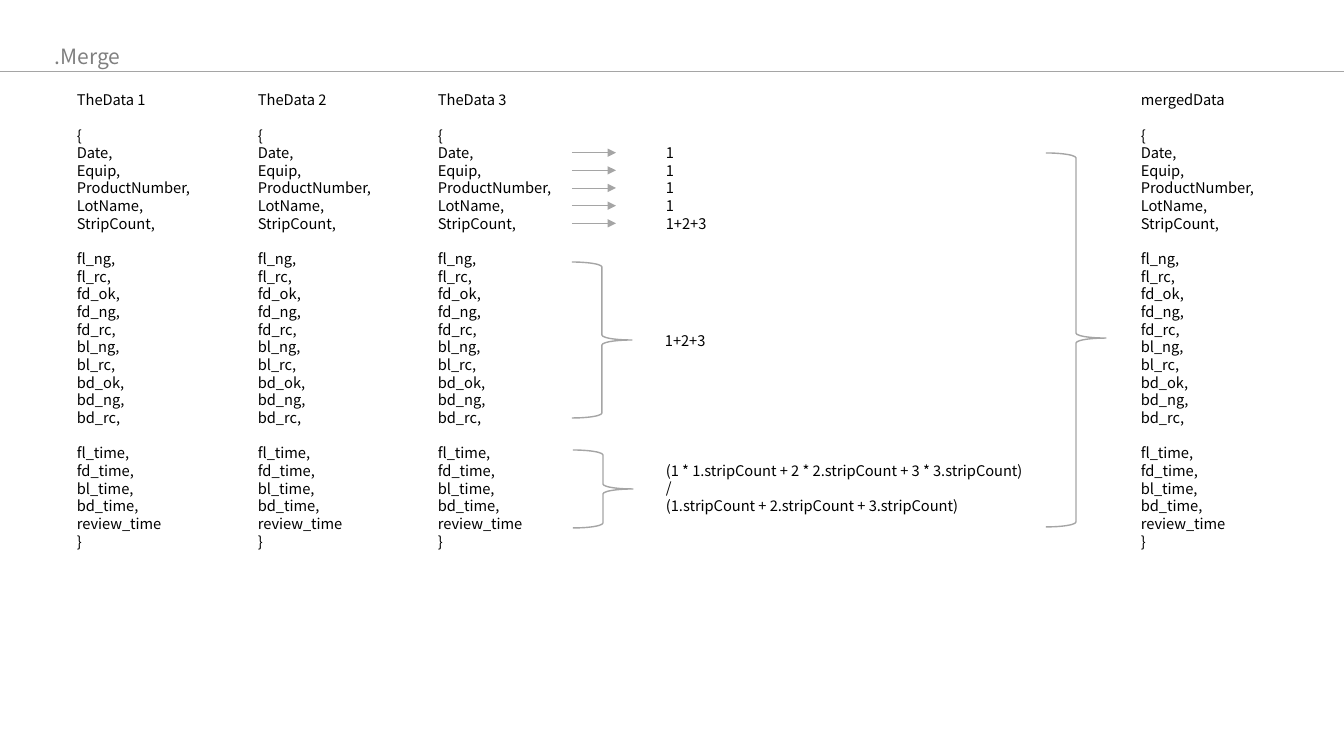
from lxml.etree import SubElement
from pptx import Presentation
from pptx.dml.color import RGBColor
from pptx.enum.shapes import MSO_CONNECTOR, MSO_SHAPE
from pptx.oxml.ns import qn
from pptx.util import Emu, Pt

# Content
TITLE = ".Merge"
FIELD_GROUPS = [
    ["{", "Date,", "Equip,", "ProductNumber,", "LotName,", "StripCount,"],
    ["fl_ng,", "fl_rc,", "fd_ok,", "fd_ng,", "fd_rc,",
     "bl_ng,", "bl_rc,", "bd_ok,", "bd_ng,", "bd_rc,"],
    ["fl_time,", "fd_time,", "bl_time,", "bd_time,", "review_time", "}"],
]
COLUMNS = [("TheData 1", 67), ("TheData 2", 248), ("TheData 3", 428), ("mergedData", 1131)]
KEY_RESULTS = ["1", "1", "1", "1", "1+2+3"]
COUNT_RESULT = ["1+2+3"]
TIME_RESULT = [
    "(1 * 1.stripCount + 2 * 2.stripCount + 3 * 3.stripCount)",
    "/",
    "(1.stripCount + 2.stripCount + 3.stripCount)",
]

# Layout in px
SLIDE_WIDTH, SLIDE_HEIGHT = 1344, 756
EMU_PER_PX = 914400 / 100.8
PT_PER_PX = 72 / 100.8
COLUMN_TOP, COLUMN_WIDTH = 86, 136
RESULT_LEFT, RESULT_WIDTH = 656, 396
INSET = 5
FIRST_KEY_ROW, FIRST_TIME_ROW = 3, 21
ARROW_START, ARROW_END = 572, 616
BRACES = [  # left, top, width, height, adjustments
    (572, 262, 60, 156, (0.083, 0.5)),
    (573, 450, 60, 78, (0.083, 0.5)),
    (1046, 153, 60, 374, (0.083, 0.495)),
]

# Style
FONT = "Noto Sans CJK KR"
COLORS = {"text": "000000", "title": "808080", "line": "A5A5A5"}
BODY_SIZE, TITLE_SIZE = 10.5, 15
LEADING = 1.2
ROW = BODY_SIZE * LEADING / PT_PER_PX

presentation = Presentation()
presentation.slide_width = Emu(round(SLIDE_WIDTH * EMU_PER_PX))
presentation.slide_height = Emu(round(SLIDE_HEIGHT * EMU_PER_PX))
slide = presentation.slides.add_slide(presentation.slide_layouts[6])


def px(*lengths):
    return [Emu(round(length * EMU_PER_PX)) for length in lengths]


def row_top(row):
    return COLUMN_TOP + row * ROW


def style_line(line, width):
    line.color.rgb = RGBColor.from_string(COLORS["line"])
    line.width = Pt(width)


def add_text(left, top, width, groups, size=BODY_SIZE, color="text"):
    """Write groups of lines, one empty row apart."""
    leading = size * LEADING
    row_count = sum(len(group) for group in groups) + len(groups) - 1
    height = row_count * leading / PT_PER_PX + 2 * INSET
    frame = slide.shapes.add_textbox(*px(left, top, width, height)).text_frame
    frame.word_wrap = True
    lines = [(text, group_index > 0 and line_index == 0)
             for group_index, group in enumerate(groups)
             for line_index, text in enumerate(group)]
    for index, (text, after_gap) in enumerate(lines):
        paragraph = frame.add_paragraph() if index else frame.paragraphs[0]
        spacing = {"line_spacing": Pt(leading),
                   "space_before": Pt(leading if after_gap else 0)}
        for name, value in spacing.items():
            setattr(paragraph, name, value)
        run = paragraph.add_run()
        run.text = text
        for name, value in {"name": FONT, "size": Pt(size)}.items():
            setattr(run.font, name, value)
        run.font.color.rgb = RGBColor.from_string(COLORS[color])
        SubElement(run.font._element, qn("a:ea"), typeface=FONT)


def add_line(start, end, y, arrow=False):
    connector = slide.shapes.add_connector(MSO_CONNECTOR.STRAIGHT, *px(start, y, end, y))
    style_line(connector.line, 0.5)
    if arrow:
        SubElement(connector.line._get_or_add_ln(), qn("a:tailEnd"), type="triangle")
    SubElement(connector._element.spPr, qn("a:effectLst"))


# Title and rule
add_text(45, 39, 146, [[TITLE]], TITLE_SIZE, "title")
add_line(0, SLIDE_WIDTH, 71)

# Data columns
for heading, left in COLUMNS:
    add_text(left, COLUMN_TOP, COLUMN_WIDTH, [[heading], *FIELD_GROUPS])

# Merge rules
add_text(RESULT_LEFT, row_top(FIRST_KEY_ROW), RESULT_WIDTH, [KEY_RESULTS])
add_text(RESULT_LEFT - 1, 327, 66, [COUNT_RESULT])
add_text(RESULT_LEFT, row_top(FIRST_TIME_ROW), RESULT_WIDTH, [TIME_RESULT])

# Arrows from key fields
for index in range(len(KEY_RESULTS)):
    add_line(ARROW_START, ARROW_END, row_top(FIRST_KEY_ROW + index + 0.5) + INSET, arrow=True)

# Braces
for left, top, width, height, adjustments in BRACES:
    brace = slide.shapes.add_shape(MSO_SHAPE.RIGHT_BRACE, *px(left, top, width, height))
    brace.shadow.inherit = False
    brace.fill.background()
    style_line(brace.line, 1)
    for index, value in enumerate(adjustments):
        brace.adjustments[index] = value

presentation.save("out.pptx")
